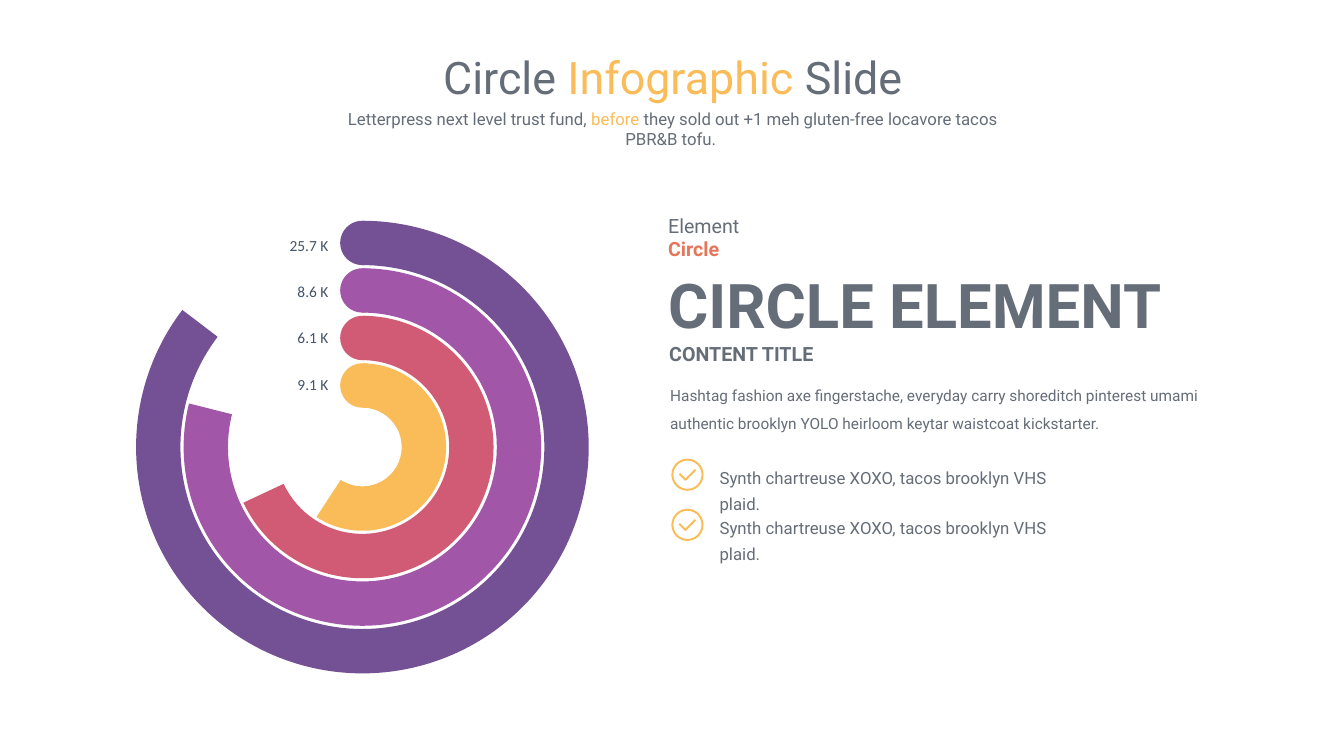
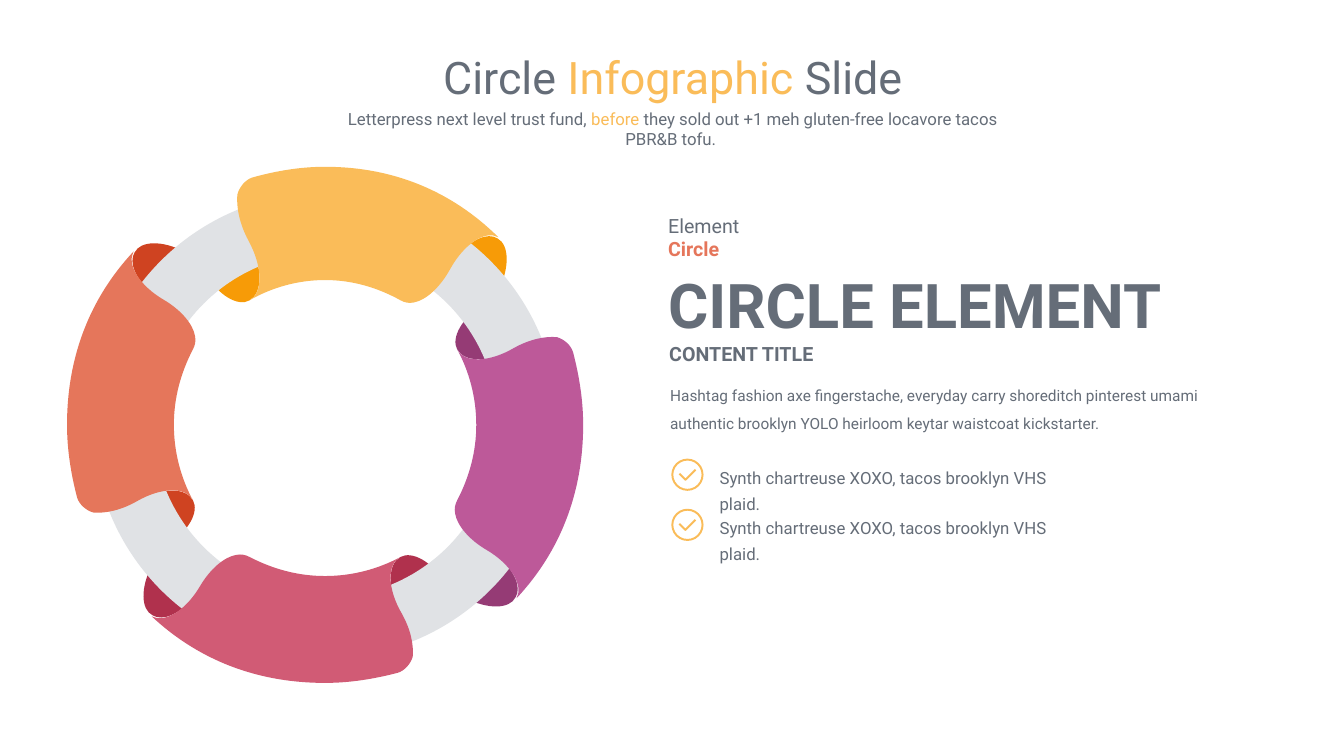
from dataclasses import dataclass
from typing import NamedTuple, Optional

import pptx
import pptx.dml.color
import pptx.enum.shapes
import pptx.enum.text
import pptx.oxml.ns
import pptx.util
from lxml import etree

CELL = pptx.util.Inches(0.1)
COLS, ROWS = 133.33, 75
MSO = pptx.enum.shapes.MSO_SHAPE
ALIGN = pptx.enum.text.PP_ALIGN


@dataclass(frozen=True)
class Theme:
    font: str = "Roboto"
    label_font: str = "Calibri"
    ink: str = "656D78"
    label_ink: str = "44546A"
    accent: str = "FABC59"
    coral: str = "E5765B"
    rose: str = "D15B75"
    orchid: str = "A156A8"
    violet: str = "745195"
    magenta: str = "BD5999"
    amber_fold: str = "F79B07"
    magenta_fold: str = "953B75"
    rose_fold: str = "B0314D"
    coral_fold: str = "CF4321"
    track: str = "E0E2E5"
    title: float = 32
    hero: float = 44
    heading: float = 14
    text: float = 12
    small: float = 11
    stroke: float = 1.38


T = Theme()


class Box(NamedTuple):
    col: float
    row: float
    cols: float
    rows: float


class Run(NamedTuple):
    text: str
    color: str = T.ink


class Para(NamedTuple):
    runs: list[Run]
    size: float
    bold: bool = False
    align: int = ALIGN.LEFT
    spacing: Optional[float] = None
    before: float = 0
    font: str = T.font


class Arc(NamedTuple):
    label: str
    end: float
    color: str


class Segment(NamedTuple):
    color: str
    fold: str
    stretch: float = 1


class Point(NamedTuple):
    x: float
    y: float


def outline(start: tuple, *curves: tuple) -> list[Point]:
    return [Point(*start)] + [Point(*knot) for curve in curves for knot in curve]


ARCS = [
    Arc("25.7 K", 217.3, T.violet),
    Arc("8.6 K", 194.1, T.orchid),
    Arc("6.1 K", 154.9, T.rose),
    Arc("9.1 K", 123.3, T.accent),
]
ARC_CENTER = Point(35.95, 44.35)
ARC_OUTER, ARC_STEP, ARC_BAND = 44.9, 9.43, 4.4

SEGMENTS = [
    Segment(T.accent, T.amber_fold, 1.06),
    Segment(T.magenta, T.magenta_fold),
    Segment(T.rose, T.rose_fold),
    Segment(T.coral, T.coral_fold),
]
RING_CENTER = Point(32.25, 42.15)
RING_EDGE = -25.6

BODY = outline(
    (-7.5, -13.1),
    ((-6.1, -13.8), (-6.2, -16.3), (-7.6, -18.7)),
    ((-8.5, -20.3), (-8.8, -21.8), (-8.7, -23)),
    ((-8.5, -23.7), (-7.9, -24.4), (-7.2, -24.6)),
    ((-4.9, -25.2), (-2.5, -25.6), (0, -25.6)),
    ((6.8, -25.6), (12.6, -23.3), (17.2, -19)),
    ((15.9, -19.7), (13.8, -18.4), (12.4, -16)),
    ((11.4, -14.3), (10, -13.1), (8.8, -12.9)),
    ((8.3, -12.8), (7.9, -12.9), (7.5, -13.1)),
    ((5.2, -14.3), (2.7, -15), (0, -15)),
    ((-2.7, -15), (-5.3, -14.3), (-7.5, -13.1)),
)
FOLDS = [
    outline(
        (-12, -15.8),
        ((-10.6, -13.5), (-8.6, -12.5), (-7.5, -13.1)),
        ((-6.2, -13.8), (-6.2, -16.1), (-7.4, -18.4)),
        ((-8.4, -17.8), (-11.4, -16.2), (-12, -15.8)),
    ),
    outline(
        (14, -16.7),
        ((15.1, -16), (16.4, -15.1), (17.2, -14)),
        ((18.3, -16.1), (18.3, -18.3), (17.1, -18.9)),
        ((16.1, -19.5), (14.5, -18.8), (13.1, -17.2)),
        ((13.5, -17), (13.8, -16.9), (14, -16.7)),
    ),
]


def cells(n: float) -> int:
    return pptx.util.Emu(round(n * CELL))


def rgb(color: str):
    return pptx.dml.color.RGBColor.from_string(color)


def paint(sp, fill: Optional[str] = None, line: Optional[str] = None) -> None:
    sp.shadow.inherit = False
    if fill:
        sp.fill.solid()
        sp.fill.fore_color.rgb = rgb(fill)
    else:
        sp.fill.background()
    if line:
        sp.line.color.rgb = rgb(line)
        sp.line.width = pptx.util.Pt(T.stroke)
    else:
        sp.line.fill.background()


def add_shape(s, kind, box: Box, fill: Optional[str] = None, line: Optional[str] = None):
    sp = s.shapes.add_shape(kind, *map(cells, box))
    paint(sp, fill, line)
    return sp


def add_outline(s, points: list[Point], fill: Optional[str] = None, line: Optional[str] = None):
    first, *rest = [(cells(p.x), cells(p.y)) for p in points]
    builder = s.shapes.build_freeform(*first)
    builder.add_line_segments(rest, close=fill is not None)
    sp = builder.convert_to_shape()
    paint(sp, fill, line)
    return sp


def bend(sp) -> None:
    qn = pptx.oxml.ns.qn
    lines = list(sp._element.iter(qn("a:lnTo")))
    for i in range(0, len(lines) - 2, 3):
        curve = etree.Element(qn("a:cubicBezTo"))
        lines[i].addprevious(curve)
        for line in lines[i : i + 3]:
            curve.append(line[0])
            line.getparent().remove(line)


def write(tf, paras: list[Para]) -> None:
    tf.word_wrap = True
    tf.vertical_anchor = pptx.enum.text.MSO_ANCHOR.TOP
    tf.auto_size = pptx.enum.text.MSO_AUTO_SIZE.NONE
    for i, para in enumerate(paras):
        p = tf.add_paragraph() if i else tf.paragraphs[0]
        p.alignment = para.align
        if para.spacing:
            p.line_spacing = para.spacing
        if para.before:
            p.space_before = pptx.util.Pt(para.before)
        p.font.name = para.font
        p.font.size = pptx.util.Pt(para.size)
        p.font.bold = para.bold
        for run in para.runs:
            r = p.add_run()
            r.text = run.text
            r.font.color.rgb = rgb(run.color)


def add_text(s, box: Box, *paras: Para, inset: bool = True) -> None:
    tf = s.shapes.add_textbox(*map(cells, box)).text_frame
    if not inset:
        tf.margin_left = tf.margin_right = tf.margin_top = tf.margin_bottom = 0
    write(tf, list(paras))


def add_header(s) -> None:
    title = s.shapes.title
    title.left, title.top, title.width, title.height = map(cells, Box(25.45, 4.4, 82.6, 6.4))
    words = [Run("Circle "), Run("Infographic ", T.accent), Run("Slide")]
    write(title.text_frame, [Para(words, T.title, align=ALIGN.CENTER)])
    words = [
        Run("Letterpress next level trust fund, "),
        Run("before", T.accent),
        Run(" they sold out +1 meh gluten-free locavore tacos PBR&B tofu. "),
    ]
    add_text(s, Box(32, 10.3, 69.5, 5), Para(words, T.text, align=ALIGN.CENTER))


def add_check_item(s, row: float, text: str) -> None:
    left = 66.7
    add_shape(s, MSO.OVAL, Box(left, row, 3, 3), line=T.accent)
    tick = [Point(left + x, row + y) for x, y in ((0.7, 1.4), (1.3, 2), (2.3, 1))]
    add_outline(s, tick, line=T.accent)
    add_text(s, Box(70.4, row - 0.28, 35.5, 5.4), Para([Run(text)], T.text, spacing=1.3))


def add_content(s) -> None:
    add_text(
        s,
        Box(65.3, 20.7, 58.1, 13.8),
        Para([Run("Element")], T.heading),
        Para([Run("Circle", T.coral)], T.heading, bold=True),
        Para([Run("CIRCLE ELEMENT")], T.hero, bold=True, before=4.7),
    )
    add_text(s, Box(65.4, 33.4, 20.5, 3.4), Para([Run("CONTENT TITLE")], T.heading, bold=True))
    text = (
        "Hashtag fashion axe fingerstache, everyday carry shoreditch pinterest umami "
        "authentic brooklyn YOLO heirloom keytar waistcoat kickstarter."
    )
    add_text(s, Box(65.5, 36.9, 58, 6.3), Para([Run(text)], T.small, spacing=1.5))
    for i in range(2):
        add_check_item(s, 45.6 + 4.97 * i, "Synth chartreuse XOXO, tacos brooklyn VHS plaid.")


def draw_arcs(s) -> None:
    for i, arc in enumerate(ARCS):
        size = ARC_OUTER - ARC_STEP * i
        left, top = ARC_CENTER.x - size / 2, ARC_CENTER.y - size / 2
        sp = add_shape(s, MSO.BLOCK_ARC, Box(left, top, size, size), arc.color)
        sp.adjustments[0] = 270 * 0.6
        sp.adjustments[1] = arc.end * 0.6
        sp.adjustments[2] = ARC_BAND / size
        cap = Box(ARC_CENTER.x - ARC_BAND / 2, top, ARC_BAND, ARC_BAND)
        add_shape(s, MSO.OVAL, cap, arc.color)
        label = Para([Run(arc.label, T.label_ink)], T.small, align=ALIGN.RIGHT, font=T.label_font)
        add_text(s, Box(26.6, 23.4 + 4.6 * i, 6, 1.9), label, inset=False)


def place(points: list[Point], turns: int, stretch: float) -> list[Point]:
    placed = []
    for x, y in points:
        y = RING_EDGE + (y - RING_EDGE) * stretch
        for _ in range(turns):
            x, y = -y, x
        placed.append(Point(RING_CENTER.x + x, RING_CENTER.y + y))
    return placed


def draw_ring(s) -> None:
    for turns, seg in enumerate(SEGMENTS):
        for fold in FOLDS:
            bend(add_outline(s, place(fold, turns, seg.stretch), seg.fold))
    track = add_shape(s, MSO.DONUT, Box(9.2, 19.1, 46.2, 46.2), T.track)
    track.adjustments[0] = 0.13
    for turns, seg in enumerate(SEGMENTS):
        bend(add_outline(s, place(BODY, turns, seg.stretch), seg.color))


def main() -> None:
    prs = pptx.Presentation()
    prs.slide_width, prs.slide_height = cells(COLS), cells(ROWS)
    for draw in (draw_arcs, draw_ring):
        s = prs.slides.add_slide(prs.slide_layouts[5])
        add_header(s)
        draw(s)
        add_content(s)
    prs.save("out.pptx")


if __name__ == "__main__":
    main()
